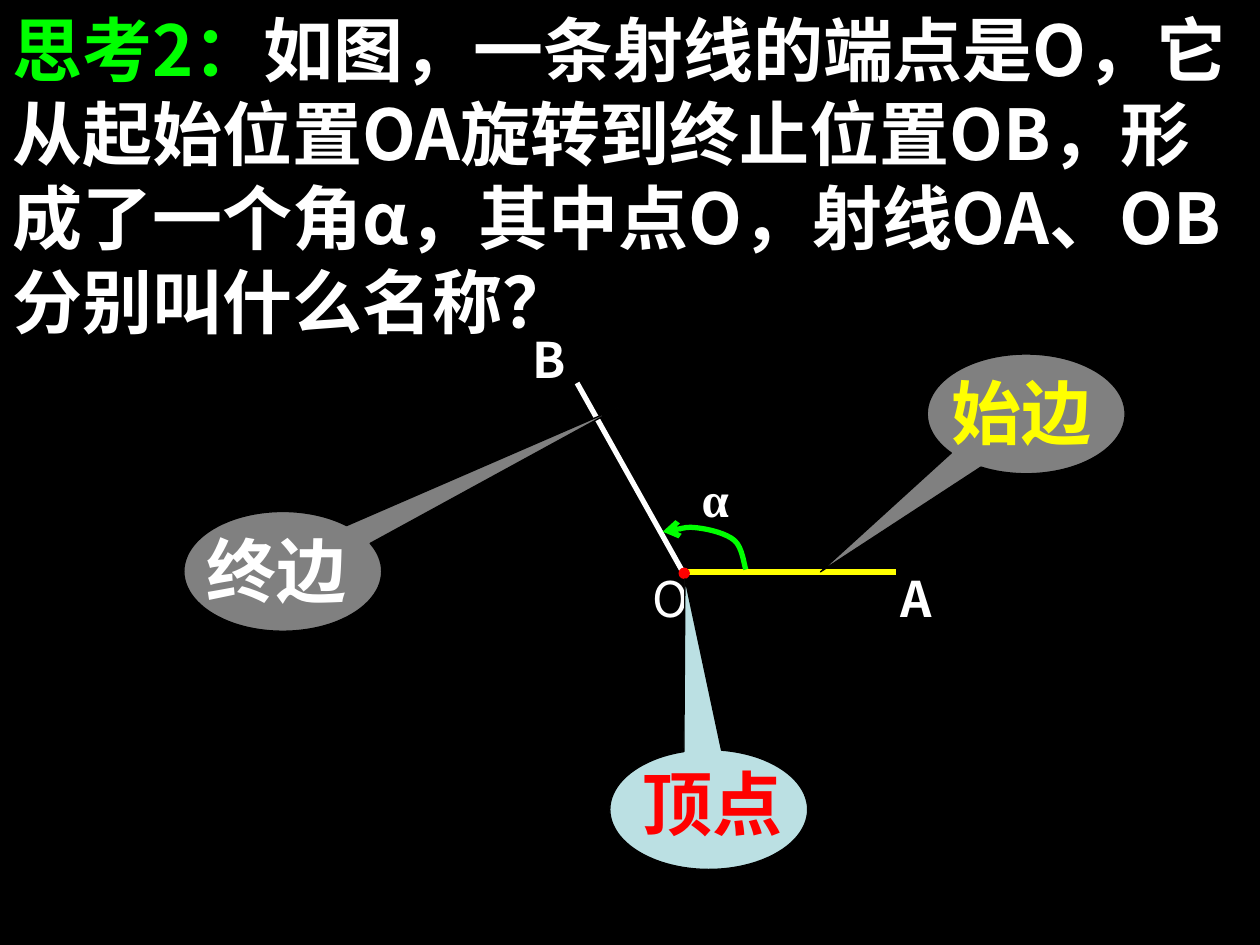
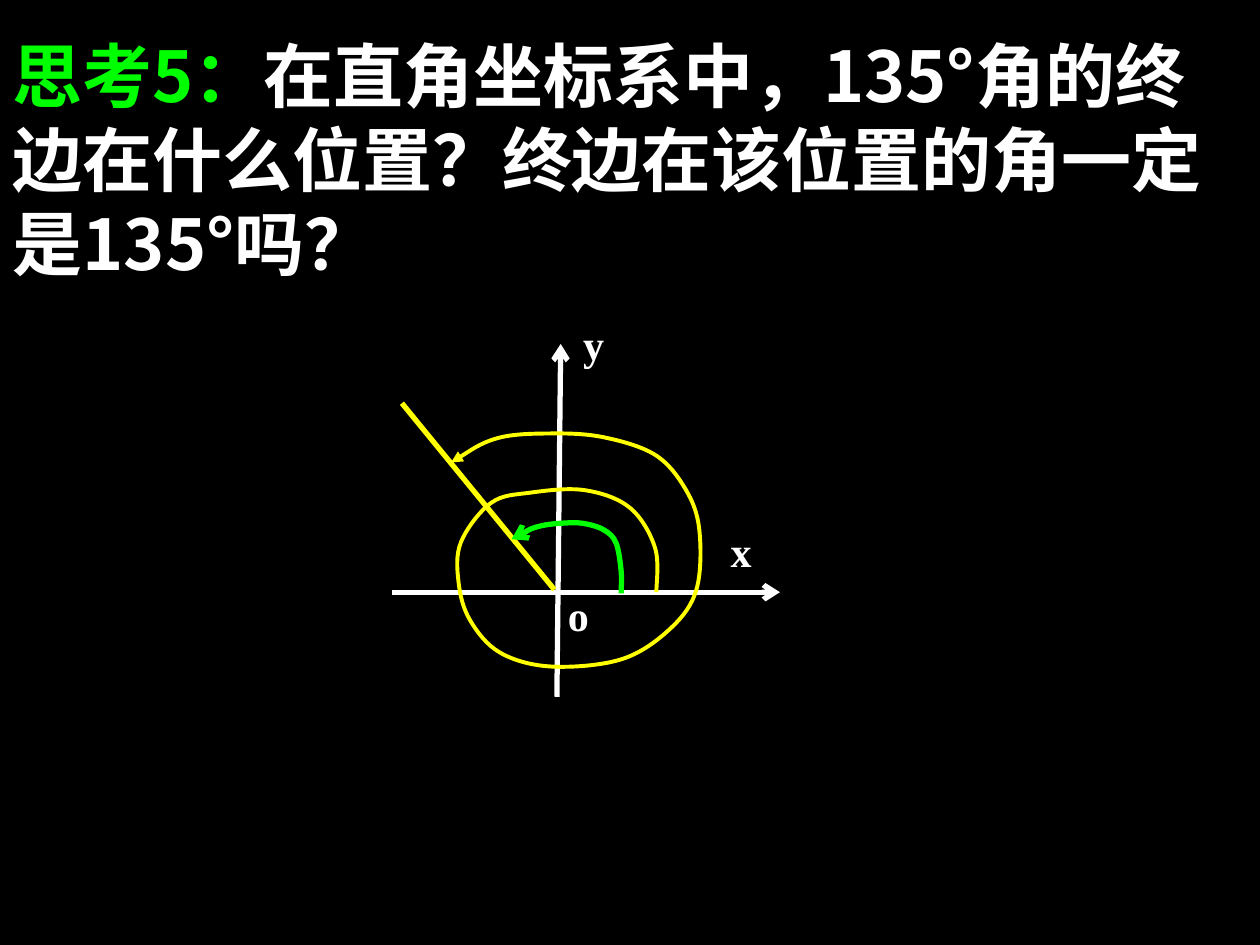
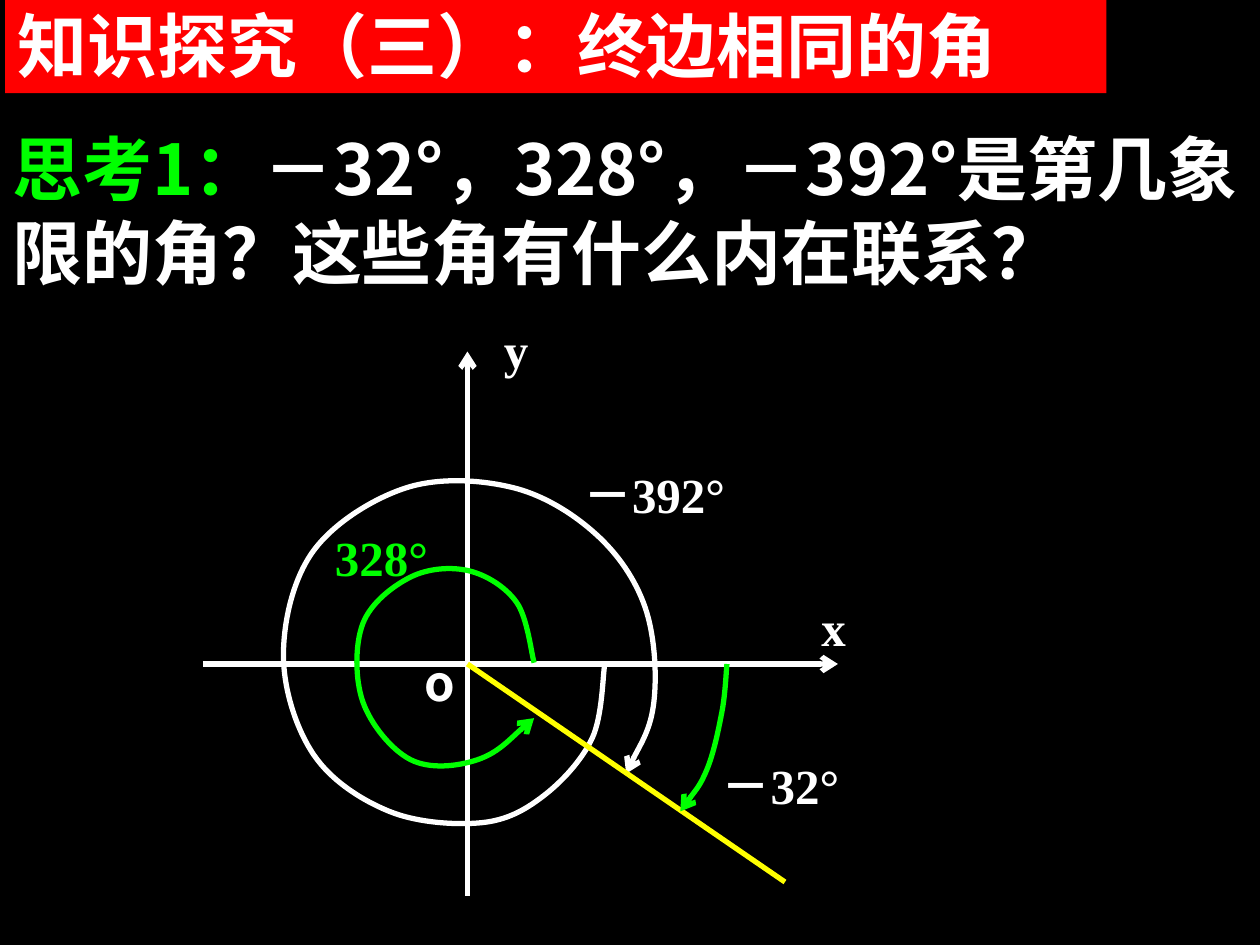
from lxml import etree
from pptx import Presentation
from pptx.dml.color import RGBColor
from pptx.enum.shapes import MSO_CONNECTOR, MSO_SHAPE
from pptx.enum.text import MSO_ANCHOR, MSO_AUTO_SIZE, PP_ALIGN
from pptx.oxml.ns import qn
from pptx.util import Inches, Pt

STRAIGHT = MSO_CONNECTOR.STRAIGHT
CALLOUT = MSO_SHAPE.OVAL_CALLOUT
OVAL = MSO_SHAPE.OVAL
TOP = MSO_ANCHOR.TOP
FIXED = MSO_AUTO_SIZE.NONE
LEFT = PP_ALIGN.LEFT

BLACK = RGBColor(0x00, 0x00, 0x00)
WHITE = RGBColor(0xFF, 0xFF, 0xFF)
GREEN = RGBColor(0x00, 0xFF, 0x00)
YELLOW = RGBColor(0xFF, 0xFF, 0x00)
RED = RGBColor(0xFF, 0x00, 0x00)
GRAY = RGBColor(0x80, 0x80, 0x80)
PALE_BLUE = RGBColor(0xBB, 0xE0, 0xE3)

SANS = "Noto Sans CJK SC"
SERIF = "Times New Roman"
ARIAL = "Arial"

CELL = Inches(1)
COLUMNS, ROWS = 10, 7.5
TITLE_SIZE = 40
LABEL_SIZE = 28
STROKE = 3
CALLOUT_SIZE = (1.57, 0.95)
TITLE_ONLY = 5


def grid(*lengths):
    return [int(length * CELL) for length in lengths]


def write(box, spans, size, font=SANS, bold=True, wrap=True):
    frame = box.text_frame
    frame.auto_size = FIXED
    frame.word_wrap = wrap
    frame.vertical_anchor = TOP
    para = frame.paragraphs[0]
    para.alignment = LEFT
    para.font.size = Pt(size)
    para.font.bold = bold
    para.font.name = font
    defaults = para._p.pPr.find(qn("a:defRPr"))
    etree.SubElement(defaults, qn("a:ea"), typeface=SANS)
    for text, color in spans:
        span = para.add_run()
        span.text = text
        span.font.color.rgb = color


def add_title(page, area, spans):
    title = page.shapes.title
    title.left, title.top, title.width, title.height = grid(*area)
    write(title, spans, TITLE_SIZE)
    return title


def add_label(page, area, text, color=WHITE, size=LABEL_SIZE, font=SERIF, bold=True, wrap=True):
    box = page.shapes.add_textbox(*grid(*area))
    write(box, [(text, color)], size, font, bold, wrap)


def style_stroke(shape, color, width, arrow):
    shape.line.color.rgb = color
    shape.line.width = Pt(width)
    if arrow:
        outline = shape._element.spPr.find(qn("a:ln"))
        etree.SubElement(outline, qn("a:tailEnd"), type=arrow)


def add_line(page, start, end, color=WHITE, arrow=None):
    line = page.shapes.add_connector(STRAIGHT, *grid(*start, *end))
    style_stroke(line, color, STROKE, arrow)
    etree.SubElement(line._element.spPr, qn("a:effectLst"))


def add_curve(page, knots, color, width=STROKE, arrow="arrow"):
    points = [grid(*knot) for knot in knots]
    builder = page.shapes.build_freeform(*points[0])
    builder.add_line_segments(points[1:], close=False)
    curve = builder.convert_to_shape()
    curve.shadow.inherit = False
    curve.fill.background()
    style_stroke(curve, color, width, arrow)
    smooth(curve)


def smooth(curve):
    nodes = list(curve._element.iter(qn("a:pt")))
    points = [(int(node.get("x")), int(node.get("y"))) for node in nodes]
    padded = [points[0], *points, points[-1]]
    segments = list(curve._element.iter(qn("a:lnTo")))
    for segment, before, start, end, after in zip(
        segments, padded, padded[1:], padded[2:], padded[3:]
    ):
        leaving = [s + (e - b) / 6 for b, s, e in zip(before, start, end)]
        arriving = [e - (a - s) / 6 for s, e, a in zip(start, end, after)]
        bezier = etree.Element(qn("a:cubicBezTo"))
        for x, y in (leaving, arriving, end):
            etree.SubElement(bezier, qn("a:pt"), x=str(round(x)), y=str(round(y)))
        segment.getparent().replace(segment, bezier)


def add_solid(page, kind, area, fill, outline):
    shape = page.shapes.add_shape(kind, *grid(*area))
    shape.shadow.inherit = False
    shape.fill.solid()
    shape.fill.fore_color.rgb = fill
    shape.line.color.rgb = outline
    shape.line.width = Pt(0.75)
    return shape


def add_callout(page, corner, pointer, fill, label_corner, text, color):
    callout = add_solid(page, CALLOUT, (*corner, *CALLOUT_SIZE), fill, BLACK)
    callout.adjustments[0], callout.adjustments[1] = pointer
    add_label(page, (*label_corner, 1.31, 0.77), text, color, TITLE_SIZE, ARIAL, wrap=False)


def angle_parts(page):
    add_title(page, (0, 0, COLUMNS, 2.77), [
        ("思考2：", GREEN),
        ("如图，一条射线的端点是O，它从起始位置OA旋转到终止位置OB，"
         "形成了一个角α，其中点O，射线OA、OB分别叫什么名称？", WHITE),
    ])
    add_label(page, (7.05, 4.46, 0.71, 0.7), "A", font=SANS)
    add_label(page, (5.08, 4.46, 0.63, 0.63), "O", font=SANS, bold=False)
    add_label(page, (4.13, 2.57, 0.84, 0.76), "B", font=SANS)
    add_line(page, (5.43, 4.54), (7.11, 4.54), YELLOW)
    add_line(page, (5.42, 4.54), (4.58, 3.04))
    add_curve(page, [(5.92, 4.52), (5.83, 4.29), (5.54, 4.19), (5.26, 4.22)], GREEN)
    add_label(page, (5.47, 3.67, 0.75, 0.54), "α")
    add_callout(page, (7.36, 2.81), (-1.04, 1.32), GRAY, (7.45, 2.88), "始边", YELLOW)
    add_callout(page, (1.46, 4.06), (1.7, -1.37), GRAY, (1.54, 4.14), "终边", WHITE)
    add_solid(page, OVAL, (5.39, 4.51, 0.08, 0.08), RED, RED)
    add_callout(page, (4.84, 5.95), (-0.12, -1.93), PALE_BLUE, (5, 5.99), "顶点", RED)


def terminal_side(page):
    add_title(page, (0, 0.21, 9.8, 2.1), [
        ("思考5：", GREEN),
        ("在直角坐标系中，135°角的终边在什么位置？终边在该位置的角一定是135°吗？", WHITE),
    ])
    add_line(page, (4.42, 5.53), (4.45, 2.73), arrow="arrow")
    add_line(page, (3.11, 4.7), (6.19, 4.7), arrow="arrow")
    for text, area in (
        ("x", (5.7, 4.12, 1.03, 0.69)),
        ("y", (4.53, 2.48, 1.02, 0.69)),
        ("o", (4.41, 4.63, 0.57, 0.53)),
    ):
        add_label(page, area, text, size=24)
    add_line(page, (4.4, 4.68), (3.19, 3.2), YELLOW)
    add_curve(page, [
        (4.93, 4.71), (4.93, 4.53), (4.89, 4.31), (4.8, 4.21),
        (4.66, 4.16), (4.51, 4.15), (4.27, 4.18), (4.06, 4.28),
    ], GREEN)
    add_curve(page, [
        (5.21, 4.7), (5.2, 4.35), (5, 4.03), (4.64, 3.89), (4.21, 3.91),
        (3.9, 3.99), (3.66, 4.3), (3.64, 4.62), (3.73, 4.92), (3.97, 5.18),
        (4.38, 5.29), (4.94, 5.23), (5.33, 4.98), (5.53, 4.67), (5.55, 4.2),
        (5.44, 3.88), (5.2, 3.61), (4.79, 3.47), (4.37, 3.44), (3.94, 3.48),
        (3.58, 3.67),
    ], YELLOW, 2.25, "triangle")


def coterminal_angles(page):
    banner = add_title(page, (0.04, -0.03, 8.74, 0.77), [("知识探究（三）：终边相同的角", WHITE)])
    banner.fill.solid()
    banner.fill.fore_color.rgb = RED
    question = page.shapes.add_textbox(*grid(0, 0.95, COLUMNS, 1.44))
    write(question, [
        ("思考1：", GREEN),
        ("－32°，328°，－392°是第几象限的角？这些角有什么内在联系？", WHITE),
    ], TITLE_SIZE)
    add_label(page, (5.63, 5.95, 1.81, 0.63), "－32°")
    add_label(page, (4.53, 3.64, 1.73, 0.59), "－392°")
    add_line(page, (1.61, 5.27), (6.65, 5.27), arrow="arrow")
    add_line(page, (3.71, 7.11), (3.71, 2.79), arrow="arrow")
    add_label(page, (6.42, 4.69, 0.79, 0.63), "x")
    add_label(page, (3.9, 2.49, 0.71, 0.63), "y")
    add_label(page, (3.27, 5.13, 0.63, 0.59), "o", font=SANS)
    add_curve(page, [
        (4.24, 5.26), (4.1, 4.78), (3.72, 4.53), (3.26, 4.58), (2.88, 4.95),
        (2.88, 5.57), (3.26, 6.03), (3.79, 6.03), (4.24, 5.7),
    ], GREEN)
    add_curve(page, [
        (4.8, 5.27), (4.7, 5.86), (4.31, 6.32), (3.82, 6.53), (3.09, 6.44),
        (2.49, 5.99), (2.25, 5.2), (2.49, 4.37), (3.23, 3.87), (4.07, 3.87),
        (4.73, 4.24), (5.12, 4.82), (5.19, 5.57), (4.97, 6.14),
    ], WHITE)
    add_label(page, (2.56, 4.14, 1.65, 0.55), "328°", GREEN)
    add_line(page, (3.71, 5.27), (6.23, 7), YELLOW)
    add_curve(page, [(5.77, 5.27), (5.73, 5.65), (5.61, 6.11), (5.4, 6.44)], GREEN)


def main():
    deck = Presentation()
    deck.slide_width, deck.slide_height = grid(COLUMNS, ROWS)
    backdrop = deck.slide_master.background.fill
    backdrop.solid()
    backdrop.fore_color.rgb = BLACK
    for fill_page in (angle_parts, terminal_side, coterminal_angles):
        fill_page(deck.slides.add_slide(deck.slide_layouts[TITLE_ONLY]))
    deck.save("out.pptx")


if __name__ == "__main__":
    main()
